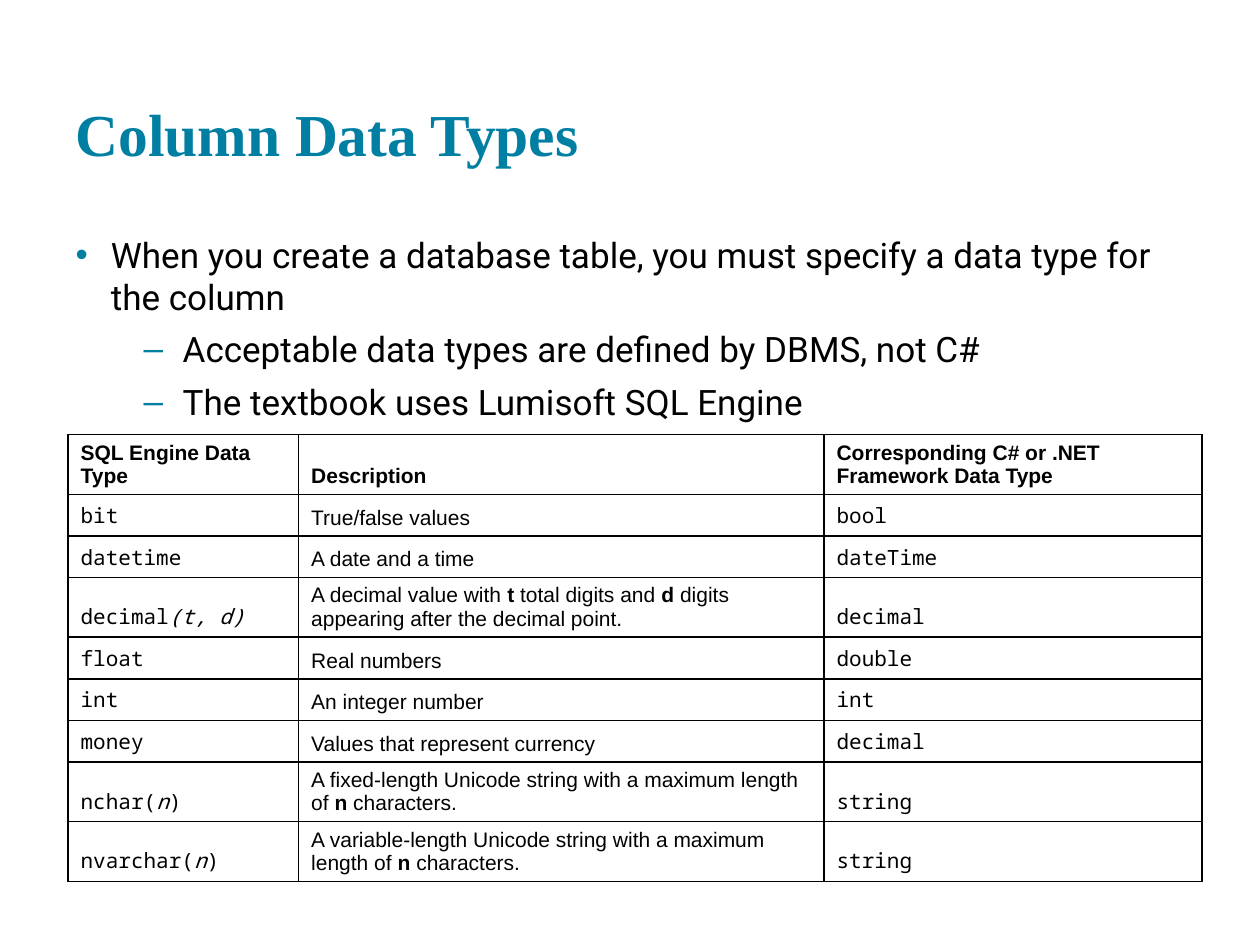
"""Build a slide that maps SQL column data types to C# types."""
from dataclasses import dataclass

from lxml.etree import SubElement as add_element
from pptx import Presentation
from pptx.dml.color import RGBColor as Color
from pptx.enum.text import MSO_ANCHOR as Anchor, MSO_AUTO_SIZE as AutoSize, PP_ALIGN as Align
from pptx.oxml import parse_xml
from pptx.oxml.ns import nsdecls, qn
from pptx.util import Inches, Pt


@dataclass(frozen=True)
class Theme:
    accent: str = "007FA3"
    ink: str = "000000"
    title_font: str = "Times New Roman"
    body_font: str = "Roboto"
    table_font: str = "Arial"
    code_font: str = "Noto Sans Mono"
    title_size: int = 34
    body_size: int = 20
    table_size: int = 12
    border: int = 1


theme = Theme()


def write(para, text, font, size, color=theme.ink, bold=False, emphasis=None):
    """Add runs to a paragraph, with *starred* parts in bold or italic."""
    for number, part in enumerate(text.split("*")):
        if part:
            span = para.add_run()
            span.text = part
            starred = number % 2 == 1
            span.font.name = font
            span.font.size = Pt(size)
            span.font.color.rgb = Color.from_string(color)
            span.font.bold = bold or (starred and emphasis == "bold")
            span.font.italic = starred and emphasis == "italic"


def place(box, left, top, width, height):
    """Move a placeholder to grid units and give it even insets."""
    box.left, box.top = int(left * column), int(top * row)
    box.width, box.height = int(width * column), int(height * row)
    frame = box.text_frame
    frame.margin_left = frame.margin_right = Inches(0.1)
    frame.margin_top = frame.margin_bottom = Inches(0.1)
    frame.word_wrap = True
    frame.auto_size = AutoSize.NONE
    return frame


deck = Presentation()
deck.slide_width, deck.slide_height = Inches(10), Inches(7.5)
column, row = deck.slide_width / 100, deck.slide_height / 100
page = deck.slides.add_slide(deck.slide_layouts[3])
title, upper_list, lower_list = page.placeholders

frame = place(title, 5, 3.2, 90, 16)
frame.vertical_anchor = Anchor.BOTTOM
frame.paragraphs[0].alignment = Align.LEFT
write(frame.paragraphs[0], "Column Data Types", theme.title_font, theme.title_size,
      color=theme.accent, bold=True)

upper_frame = place(upper_list, 5, 23.33, 90, 16)
lower_frame = place(lower_list, 5.4, 38.93, 90, 5.07)
bullets = [
    (upper_frame.paragraphs[0], 0, "•", 0.28, 0.28, 0,
     "When you create a database table, you must specify a data type for the column"),
    (upper_frame.add_paragraph(), 1, "–", 0.85, 0.31, 6,
     "Acceptable data types are defined by DBMS, not C#"),
    (lower_frame.paragraphs[0], 1, "–", 0.81, 0.31, 0,
     "The textbook uses Lumisoft SQL Engine"),
]
for para, level, mark, margin, hanging, gap, text in bullets:
    para.level = level
    properties = para._p.get_or_add_pPr()
    properties.set("marL", str(Inches(margin)))
    properties.set("indent", str(-Inches(hanging)))
    bullet_color = add_element(properties, qn("a:buClr"))
    add_element(bullet_color, qn("a:srgbClr"), val=theme.accent)
    add_element(properties, qn("a:buFont"), typeface="Arial")
    add_element(properties, qn("a:buChar"), char=mark)
    para.space_before = Pt(gap)
    write(para, text, theme.body_font, theme.body_size)

short, tall = 4.4, 6.27
column_widths = [18.3, 41.7, 30]
records = [
    (tall, "SQL Engine Data Type", "Description",
     "Corresponding C# or .NET Framework Data Type"),
    (short, "bit", "True/false values", "bool"),
    (short, "datetime", "A date and a time", "dateTime"),
    (tall, "decimal*(t, d)*",
     "A decimal value with *t* total digits and *d* digits appearing after the decimal point.",
     "decimal"),
    (short, "float", "Real numbers", "double"),
    (short, "int", "An integer number", "int"),
    (short, "money", "Values that represent currency", "decimal"),
    (tall, "nchar(*n*)",
     "A fixed-length Unicode string with a maximum length of *n* characters.", "string"),
    (tall, "nvarchar(*n*)",
     "A variable-length Unicode string with a maximum length of *n* characters.", "string"),
]
table_height = sum(record[0] for record in records)
table = page.shapes.add_table(
    len(records), len(column_widths), int(5.4 * column), int(46 * row),
    int(sum(column_widths) * column), int(table_height * row)).table
table.first_row = table.horz_banding = False
for table_column, width in zip(table.columns, column_widths):
    table_column.width = int(width * column)

for row_number, (height, *texts) in enumerate(records):
    table.rows[row_number].height = int(height * row)
    for column_number, text in enumerate(texts):
        cell = table.cell(row_number, column_number)
        cell.vertical_anchor = Anchor.BOTTOM
        cell.fill.background()
        for position, side in enumerate(("lnL", "lnR", "lnT", "lnB")):
            cell._tc.tcPr.insert(position, parse_xml(
                f'<a:{side} {nsdecls("a")} w="{Pt(theme.border)}"><a:solidFill>'
                f'<a:srgbClr val="{theme.ink}"/></a:solidFill></a:{side}>'))
        header = row_number == 0
        prose = header or column_number == 1
        write(cell.text_frame.paragraphs[0], text,
              theme.table_font if prose else theme.code_font, theme.table_size,
              bold=header, emphasis="bold" if prose else "italic")

deck.save("out.pptx")
